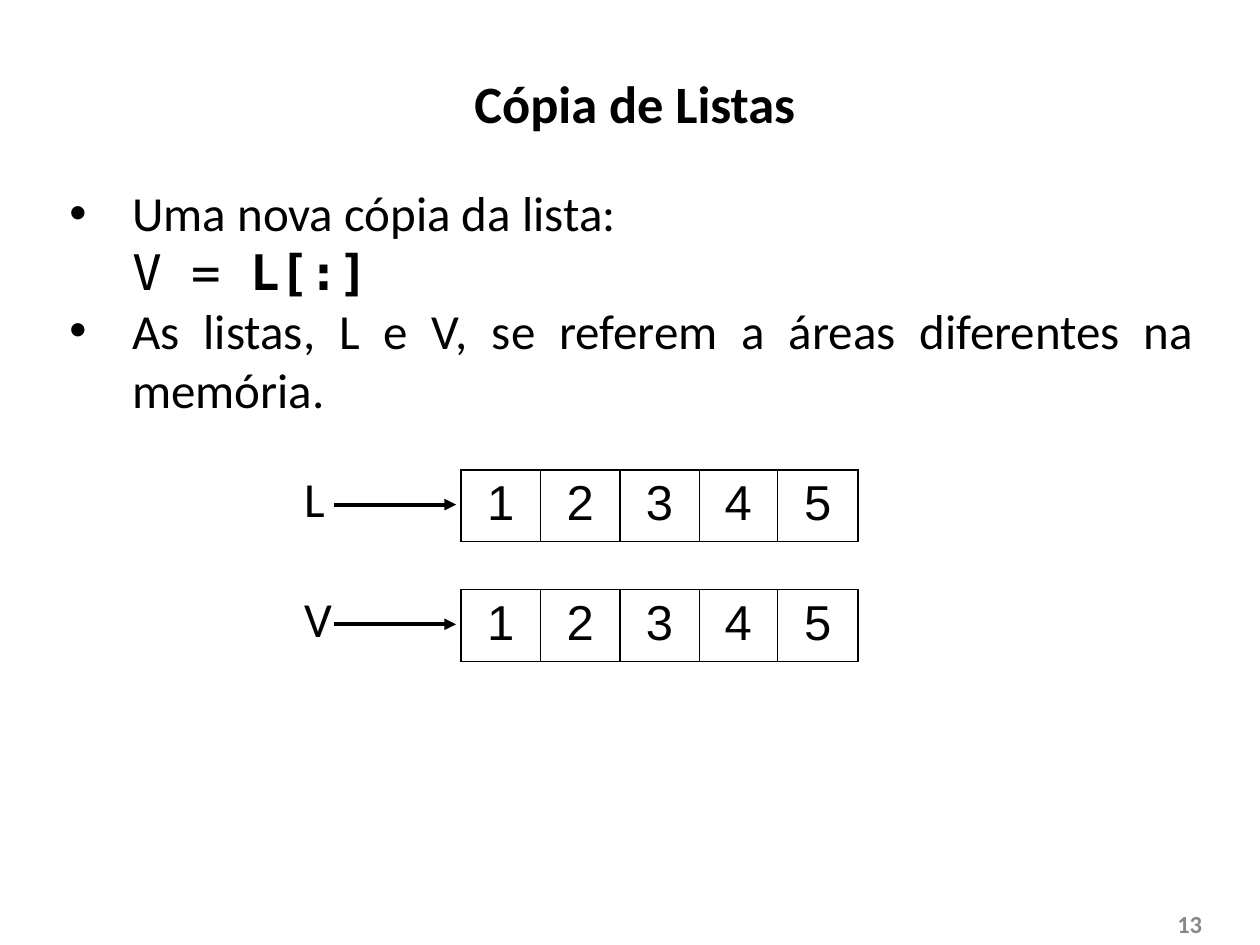
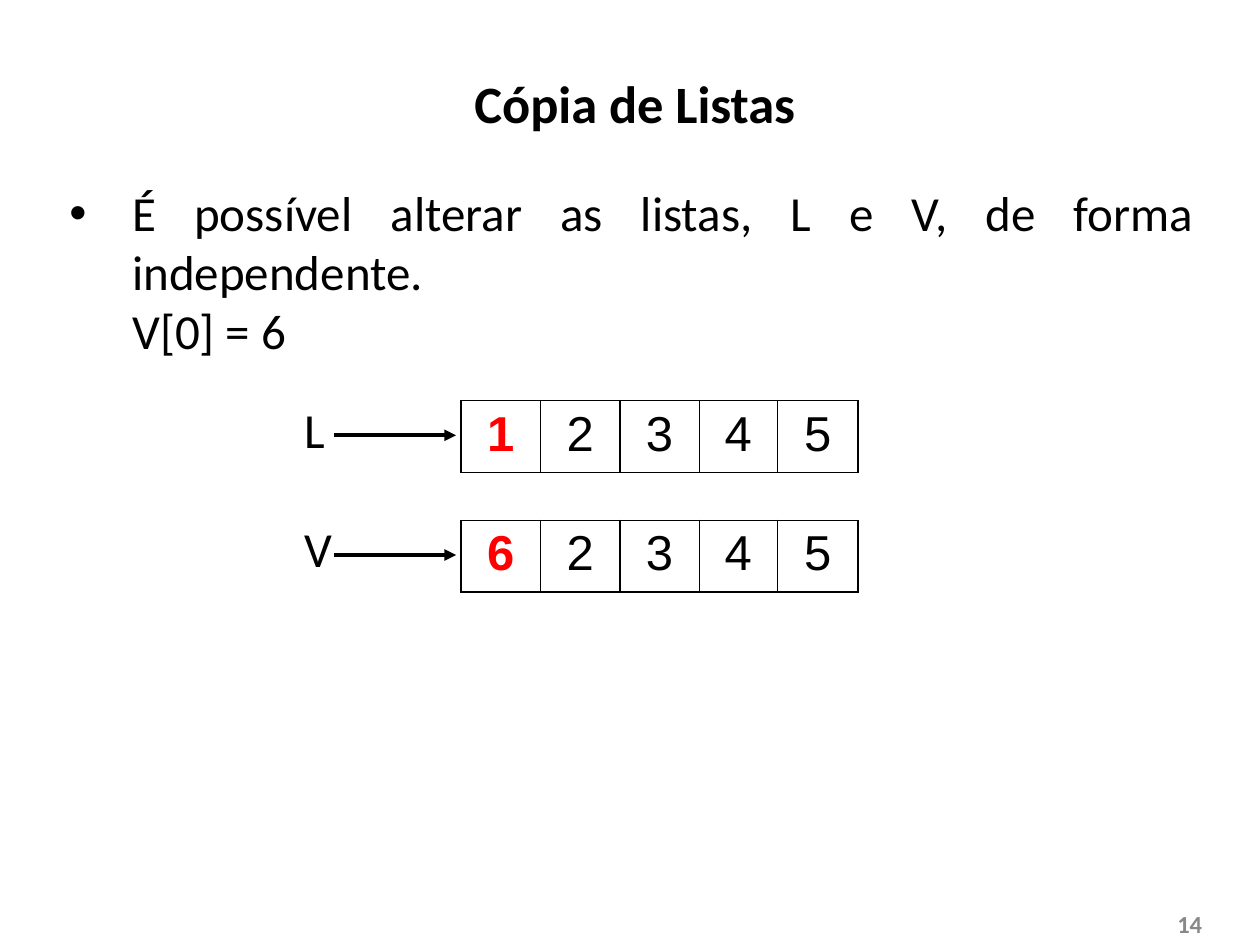
import pptx
import pptx.dml.color
import pptx.enum.shapes
import pptx.enum.text
import pptx.oxml.ns
import pptx.util
from lxml import etree

Inches = pptx.util.Inches
Pt = pptx.util.Pt
ALIGN = pptx.enum.text.PP_ALIGN
ANCHOR = pptx.enum.text.MSO_ANCHOR
qn = pptx.oxml.ns.qn

COLORS = {"text": "000000", "number": "888888", "changed": "FF0000"}
CODE_FONT = "DejaVu Sans Mono"
COLUMN_WIDTHS = [0.63, 0.63, 0.63, 0.62, 0.64]
ROW_HEIGHT = 0.57
TABLE_LEFT = 3.66
LIST_STEP = 0.95

# Each paragraph is (has bullet, [(text, font, bold), ...]).
SLIDES = [
    {
        "number": "13",
        "paragraphs": [
            (True, [("Uma nova cópia da lista:", "Calibri", False)]),
            (False, [("V = ", CODE_FONT, False), ("L[:]", CODE_FONT, True)]),
            (True, [("As listas, L e V, se referem a áreas diferentes na memória.",
                     "Calibri", False)]),
        ],
        "body_height": 1.99,
        "lists_top": 3.73,
        "lists": {"L": "12345", "V": "12345"},
        "changed_index": None,
    },
    {
        "number": "14",
        "paragraphs": [
            (True, [("É possível alterar as listas, L e V, de forma independente.",
                     "Calibri", False)]),
            (False, [("V[0] = 6", "Calibri", False)]),
        ],
        "body_height": 1.52,
        "lists_top": 3.18,
        "lists": {"L": "12345", "V": "62345"},
        "changed_index": 0,
    },
]


def add_run(paragraph, text, size=28, font="Calibri", color="text", bold=False):
    run = paragraph.add_run()
    run.text = text
    run.font.size = Pt(size)
    run.font.name = font
    run.font.bold = bold
    run.font.color.rgb = pptx.dml.color.RGBColor.from_string(COLORS[color])


def place(shape, left, top, width, height, anchor=ANCHOR.TOP):
    """Position a text shape and return its first paragraph."""
    shape.left, shape.top = Inches(left), Inches(top)
    shape.width, shape.height = Inches(width), Inches(height)
    frame = shape.text_frame
    frame.auto_size = pptx.enum.text.MSO_AUTO_SIZE.NONE
    frame.word_wrap = True
    frame.vertical_anchor = anchor
    return frame.paragraphs[0]


presentation = pptx.Presentation()
presentation.slide_width = Inches(10)
presentation.slide_height = Inches(7.5)

for content in SLIDES:
    slide = presentation.slides.add_slide(presentation.slide_layouts[1])
    title, body = slide.placeholders

    paragraph = place(title, 0.51, 0.57, 9.06, 0.58)
    paragraph.alignment = ALIGN.CENTER
    paragraph.line_spacing = 0.9
    add_run(paragraph, "Cópia de Listas", size=30, bold=True)

    number_box = slide.shapes.add_textbox(0, 0, 0, 0)
    paragraph = place(number_box, 7.31, 7.13, 2.33, 0.4, ANCHOR.MIDDLE)
    paragraph.alignment = ALIGN.RIGHT
    add_run(paragraph, content["number"], size=14, color="number", bold=True)

    paragraph = place(body, 0.45, 1.4, 9.12, content["body_height"])
    for index, (has_bullet, runs) in enumerate(content["paragraphs"]):
        if index > 0:
            paragraph = body.text_frame.add_paragraph()
        paragraph.alignment = ALIGN.JUSTIFY
        paragraph.space_before = Pt(0)
        properties = paragraph._p.get_or_add_pPr()
        properties.set("marL", str(Inches(0.5)))
        properties.set("indent", str(Inches(-0.5 if has_bullet else 0)))
        if has_bullet:
            etree.SubElement(properties, qn("a:buFont"), typeface="Arial")
            etree.SubElement(properties, qn("a:buChar"), char="•")
        else:
            etree.SubElement(properties, qn("a:buNone"))
        for text, font, bold in runs:
            add_run(paragraph, text, font=font, bold=bold)

    for row, (name, values) in enumerate(content["lists"].items()):
        top = content["lists_top"] + row * LIST_STEP

        table = slide.shapes.add_table(
            1, len(values), Inches(TABLE_LEFT), Inches(top),
            Inches(sum(COLUMN_WIDTHS)), Inches(ROW_HEIGHT)).table
        table.first_row = False
        table.horz_banding = False
        for index, (value, width) in enumerate(zip(values, COLUMN_WIDTHS)):
            table.columns[index].width = Inches(width)
            cell = table.cell(0, index)
            cell_properties = cell._tc.get_or_add_tcPr()
            for side in ("lnL", "lnR", "lnT", "lnB"):
                border = etree.SubElement(cell_properties, qn(f"a:{side}"), w=str(Pt(1)))
                fill = etree.SubElement(border, qn("a:solidFill"))
                etree.SubElement(fill, qn("a:srgbClr"), val=COLORS["text"])
            cell.fill.background()
            changed = index == content["changed_index"]
            paragraph = cell.text_frame.paragraphs[0]
            paragraph.alignment = ALIGN.CENTER
            add_run(paragraph, value, font="Arial", bold=changed,
                    color="changed" if changed else "text")

        arrow_y = Inches(top + 0.275)
        arrow = slide.shapes.add_connector(
            pptx.enum.shapes.MSO_CONNECTOR.STRAIGHT,
            Inches(2.65), arrow_y, Inches(3.62), arrow_y)
        arrow.line.color.rgb = pptx.dml.color.RGBColor.from_string(COLORS["text"])
        arrow.line.width = Pt(2.25)
        etree.SubElement(arrow.line._get_or_add_ln(), qn("a:tailEnd"), type="triangle")
        etree.SubElement(arrow._element.spPr, qn("a:effectLst"))

        label = slide.shapes.add_textbox(0, 0, 0, 0)
        paragraph = place(label, 2.32, top - 0.06, 0.42, 0.57)
        add_run(paragraph, name)

presentation.save("out.pptx")
